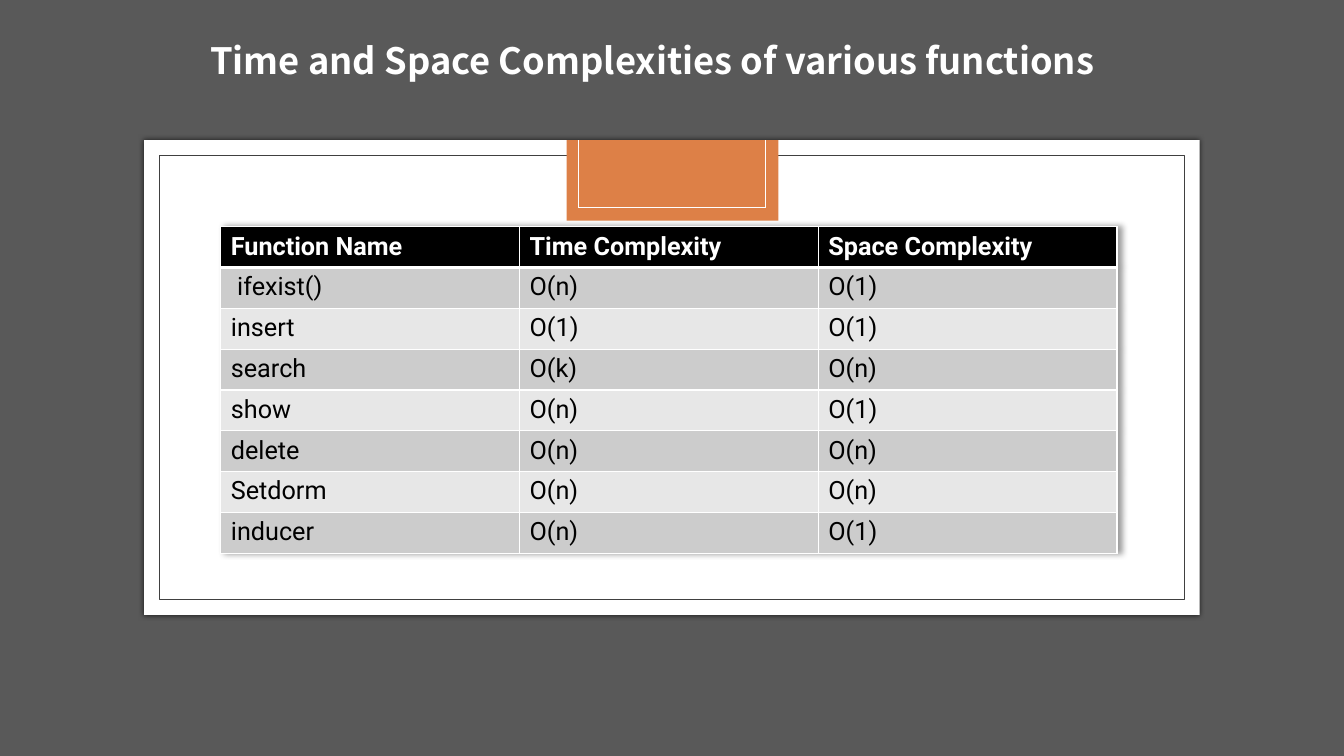
import pptx
import pptx.dml.color
import pptx.enum.shapes
import pptx.enum.text
import pptx.oxml
import pptx.oxml.ns
import pptx.util

Inches = pptx.util.Inches
Pt = pptx.util.Pt

ROWS = [
    ("Function Name", "Time Complexity", "Space Complexity"),
    (" ifexist()", "O(n)", "O(1)"),
    ("insert", "O(1)", "O(1)"),
    ("search", "O(k)", "O(n)"),
    ("show", "O(n)", "O(1)"),
    ("delete", "O(n)", "O(n)"),
    ("Setdorm", "O(n)", "O(n)"),
    ("inducer", "O(n)", "O(1)"),
]
TITLE = {"name": "Noto Sans CJK SC", "size": Pt(25.9), "bold": True}
HEAD = {"name": "Roboto", "size": Pt(18), "bold": True}
BODY = {"name": "Roboto", "size": Pt(18), "bold": False}


def color(code):
    return pptx.dml.color.RGBColor.from_string(code)


def node(text):
    space = pptx.oxml.ns.nsdecls("a")
    return pptx.oxml.parse_xml(text.replace(">", f" {space}>", 1))


def shadow(blur, dist, alpha):
    return node(
        f'<a:effectLst><a:outerShdw blurRad="{Pt(blur)}" dist="{Pt(dist)}" dir="0">'
        f'<a:srgbClr val="000000"><a:alpha val="{alpha * 1000}"/></a:srgbClr>'
        "</a:outerShdw></a:effectLst>"
    )


def style(target, values):
    for key, value in values.items():
        setattr(target, key, value)


def write(para, text, font, code):
    run = para.add_run()
    run.text = text
    style(run.font, font)
    run.font.color.rgb = color(code)


def box(slide, area, fill=None, line=None):
    kind = pptx.enum.shapes.MSO_SHAPE.RECTANGLE
    shape = slide.shapes.add_shape(kind, *map(Inches, area))
    shape.shadow.inherit = False
    if fill:
        shape.fill.solid()
        shape.fill.fore_color.rgb = color(fill)
    else:
        shape.fill.background()
    if line:
        shape.line.color.rgb = color(line)
        shape.line.width = Pt(0.5)
    else:
        shape.line.fill.background()
    return shape


def rule(slide, ends):
    kind = pptx.enum.shapes.MSO_CONNECTOR.STRAIGHT
    line = slide.shapes.add_connector(kind, *map(Inches, ends))
    line.line.color.rgb = color("FFFFFF")
    line.line.width = Pt(0.5)
    line._element.spPr.append(node("<a:effectLst></a:effectLst>"))


def title(slide, text):
    frame = slide.shapes.add_textbox(
        Inches(1.58), Inches(0.37), Inches(9.78), Inches(0.5)
    ).text_frame
    style(frame, {
        "word_wrap": True,
        "vertical_anchor": pptx.enum.text.MSO_ANCHOR.MIDDLE,
    })
    para = frame.paragraphs[0]
    style(para, {
        "alignment": pptx.enum.text.PP_ALIGN.CENTER,
        "line_spacing": 0.9,
        "space_before": Pt(9),
    })
    write(para, text, TITLE, "FFFFFF")


def border(cell, widths):
    props = cell._tc.get_or_add_tcPr()
    for spot, (side, width) in enumerate(widths.items()):
        props.insert(spot, node(
            f'<a:ln{side} w="{Pt(width)}"><a:solidFill><a:srgbClr val="FFFFFF"/>'
            f"</a:solidFill></a:ln{side}>"
        ))


def grid(slide, rows):
    table = slide.shapes.add_table(
        len(rows), len(rows[0]),
        Inches(2.19), Inches(2.25), Inches(8.89), Inches(3.24),
    ).table
    table._tbl.tblPr.insert(0, shadow(4, 3, 40))
    for i, row in enumerate(rows):
        head = i == 0
        fill = "000000" if head else "CCCCCC" if i % 2 else "E7E7E7"
        for j, text in enumerate(row):
            cell = table.cell(i, j)
            cell.fill.solid()
            cell.fill.fore_color.rgb = color(fill)
            border(cell, {
                "L": 1, "R": 1, "T": 3 if i == 1 else 1, "B": 3 if head else 1,
            })
            write(
                cell.text_frame.paragraphs[0], text,
                HEAD if head else BODY, "FFFFFF" if head else "000000",
            )


def main():
    deck = pptx.Presentation()
    style(deck, {"slide_width": Inches(13.33), "slide_height": Inches(7.5)})
    slide = deck.slides.add_slide(deck.slide_layouts[6])
    box(slide, (0, 0, 13.33, 7.5), "595959")
    panel = box(slide, (1.43, 1.39, 10.47, 4.71), "FFFFFF")
    panel.shadow.inherit = True
    panel._element.spPr.append(shadow(4, 0, 66))
    box(slide, (1.58, 1.54, 10.17, 4.41), line="404040")
    box(slide, (5.62, 1.39, 2.1, 0.8), "DD8047")
    left, right, top, base = 5.74, 7.59, 1.39, 2.06
    for side in (left, right):
        rule(slide, (side, top, side, base))
    rule(slide, (left, base, right, base))
    title(slide, "Time and Space Complexities of various functions")
    grid(slide, ROWS)
    deck.save("out.pptx")


if __name__ == "__main__":
    main()
